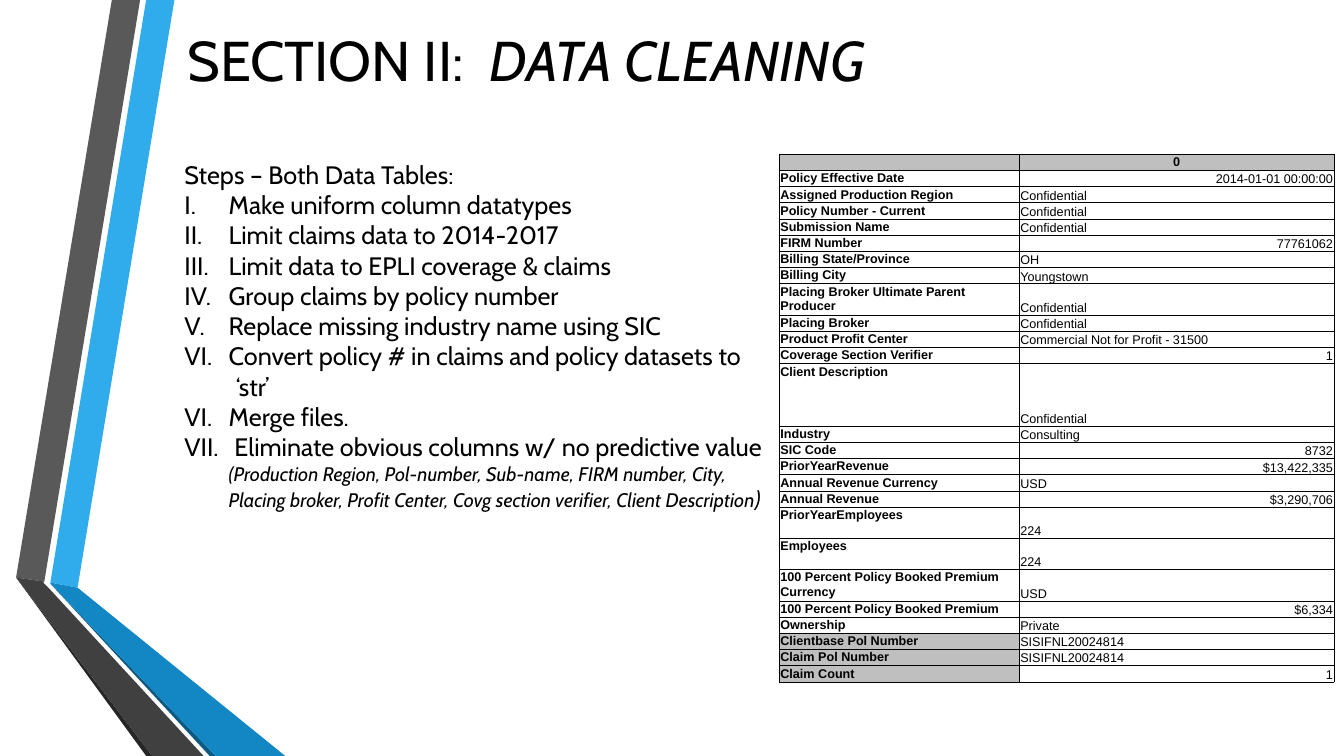
"""Build the data cleaning slide: ribbon, title, cleaning steps and sample policy record."""
from lxml import etree
from pptx import Presentation
from pptx.dml import color
from pptx.enum import text
from pptx.oxml import ns
from pptx.util import Inches, Pt


def rgb(value):
    return color.RGBColor.from_string(value)


def add_words(paragraph, words, **formats):
    font = paragraph.add_run().font
    paragraph.runs[-1].text = words
    font.color.rgb = rgb("000000")
    for name, value in formats.items():
        setattr(font, name, value)


deck = Presentation()
deck.slide_width, deck.slide_height = Inches(13.33), Inches(7.5)
slide = deck.slides.add_slide(deck.slide_layouts[6])

ribbons = [
    ("30ACEC", [(0.5, 5.78), (0.77, 5.83), (1.73, 0), (1.45, 0)]),
    ("595959", [(1.39, 0), (1.11, 0), (0.16, 5.73), (0.44, 5.77)]),
    ("262626", [(0.16, 5.73), (1.45, 7.5), (1.51, 7.5)]),
    ("0C5A82", [(0.5, 5.79), (2.08, 7.5), (2.14, 7.5)]),
    ("1287C3", [(0.5, 5.79), (2.14, 7.5), (2.83, 7.5), (0.77, 5.83), (0.5, 5.78)]),
    ("404040", [(2.02, 7.5), (0.48, 5.83), (0.43, 5.78), (0.44, 5.77), (0.16, 5.73), (1.51, 7.5)]),
]
for shade, corners in ribbons:
    points = [(Inches(x), Inches(y)) for x, y in corners]
    outline = slide.shapes.build_freeform(*points[0])
    outline.add_line_segments(points[1:], close=True)
    ribbon = outline.convert_to_shape()
    ribbon.shadow.inherit = False
    ribbon.fill.solid()
    ribbon.fill.fore_color.rgb = rgb(shade)
    ribbon.line.fill.background()

steps = slide.shapes.add_textbox(Inches(1.73), Inches(1.53), Inches(5.95), Inches(3.94)).text_frame
steps.word_wrap = True
step_lines = [
    ("Steps – Both Data Tables:", 0, None),
    ("Make uniform column datatypes", 0.44, 1),
    ("Limit claims data to 2014-2017", 0.44, 1),
    ("Limit data to EPLI coverage & claims", 0.44, 1),
    ("Group claims by policy number", 0.44, 1),
    ("Replace missing industry name using SIC", 0.44, 1),
    ("Convert policy # in claims and policy datasets to", 0.44, 1),
    ("‘str’", 0.51, None),
    ("Merge files.", 0.44, 6),
    (" Eliminate obvious columns w/ no predictive value ", 0.44, 6),
]
for position, (words, margin, start) in enumerate(step_lines):
    step = steps.add_paragraph() if position else steps.paragraphs[0]
    add_words(step, words, name="Cabin", size=Pt(18))
    layout = step._p.get_or_add_pPr()
    layout.set("marL", str(Inches(margin)))
    if start:
        layout.set("indent", str(-Inches(margin)))
        numeral = etree.SubElement(layout, ns.qn("a:buAutoNum"), type="romanUcPeriod")
        if start > 1:
            numeral.set("startAt", str(start))
add_words(step, "(Production Region, Pol-number, Sub-name, FIRM number, City, Placing broker, "
          "Profit Center, Covg section verifier, Client Description",
          name="Cabin", size=Pt(14), italic=True)
add_words(step, ")", name="Cabin", size=Pt(16), italic=True)

title = slide.shapes.add_textbox(Inches(1.76), Inches(0.2), Inches(7.29), Inches(0.77)).text_frame
title.word_wrap = False
add_words(title.paragraphs[0], "SECTION II:  ", name="Cabin", size=Pt(40))
add_words(title.paragraphs[0], "DATA CLEANING", name="Cabin", size=Pt(40), italic=True)

LEFT, CENTER, RIGHT = text.PP_ALIGN.LEFT, text.PP_ALIGN.CENTER, text.PP_ALIGN.RIGHT
SINGLE, DOUBLE, TALL = 0.15, 0.31, 0.62
fields = [
    ("", "0", CENTER, SINGLE),
    ("Policy Effective Date", "2014-01-01 00:00:00", RIGHT, SINGLE),
    ("Assigned Production Region", "Confidential", LEFT, SINGLE),
    ("Policy Number - Current", "Confidential", LEFT, SINGLE),
    ("Submission Name", "Confidential", LEFT, SINGLE),
    ("FIRM Number", "77761062", RIGHT, SINGLE),
    ("Billing State/Province", "OH", LEFT, SINGLE),
    ("Billing City", "Youngstown", LEFT, SINGLE),
    ("Placing Broker Ultimate Parent Producer", "Confidential", LEFT, DOUBLE),
    ("Placing Broker", "Confidential", LEFT, SINGLE),
    ("Product Profit Center", "Commercial Not for Profit - 31500", LEFT, SINGLE),
    ("Coverage Section Verifier", "1", RIGHT, SINGLE),
    ("Client Description", "Confidential", LEFT, TALL),
    ("Industry", "Consulting", LEFT, SINGLE),
    ("SIC Code", "8732", RIGHT, SINGLE),
    ("PriorYearRevenue", "$13,422,335", RIGHT, SINGLE),
    ("Annual Revenue Currency", "USD", LEFT, SINGLE),
    ("Annual Revenue", "$3,290,706", RIGHT, SINGLE),
    ("PriorYearEmployees", "224", LEFT, DOUBLE),
    ("Employees", "224", LEFT, DOUBLE),
    ("100 Percent Policy Booked Premium Currency", "USD", LEFT, DOUBLE),
    ("100 Percent Policy Booked Premium", "$6,334", RIGHT, SINGLE),
    ("Ownership", "Private", LEFT, SINGLE),
    ("Clientbase Pol Number", "SISIFNL20024814", LEFT, SINGLE),
    ("Claim Pol Number", "SISIFNL20024814", LEFT, SINGLE),
    ("Claim Count", "1", RIGHT, SINGLE),
]
record = slide.shapes.add_table(len(fields), 2, Inches(7.73), Inches(1.53), Inches(5.5), Inches(5.11)).table
record.first_row = record.horz_banding = False
for column, width in zip(record.columns, (2.38, 3.12)):
    column.width = Inches(width)
cell_format = {"margin_left": Inches(0.01), "margin_right": Inches(0.01),
               "margin_top": Inches(0.01), "margin_bottom": 0}
for row, (label, value, side, height) in enumerate(fields):
    record.rows[row].height = Inches(height)
    for col, (words, align) in enumerate([(label, LEFT), (value, side)]):
        cell = record.cell(row, col)
        for name, setting in cell_format.items():
            setattr(cell, name, setting)
        is_value = row > 0 and col == 1
        cell.vertical_anchor = text.MSO_ANCHOR.BOTTOM if is_value else text.MSO_ANCHOR.TOP
        entry = cell.text_frame.paragraphs[0]
        entry.alignment = align
        if words:
            add_words(entry, words, name="Arial", size=Pt(9), bold=not is_value)
        else:
            etree.SubElement(entry._p, ns.qn("a:endParaRPr"), sz="900")
        for edge in ("a:lnL", "a:lnR", "a:lnT", "a:lnB"):
            border = etree.SubElement(cell._tc.get_or_add_tcPr(), ns.qn(edge), w=str(Pt(0.5)))
            paint = etree.SubElement(border, ns.qn("a:solidFill"))
            etree.SubElement(paint, ns.qn("a:srgbClr"), val="000000")
        if row == 0 or (col == 0 and row >= len(fields) - 3):
            cell.fill.solid()
            cell.fill.fore_color.rgb = rgb("BFBFBF")
        else:
            cell.fill.background()

deck.save("out.pptx")
